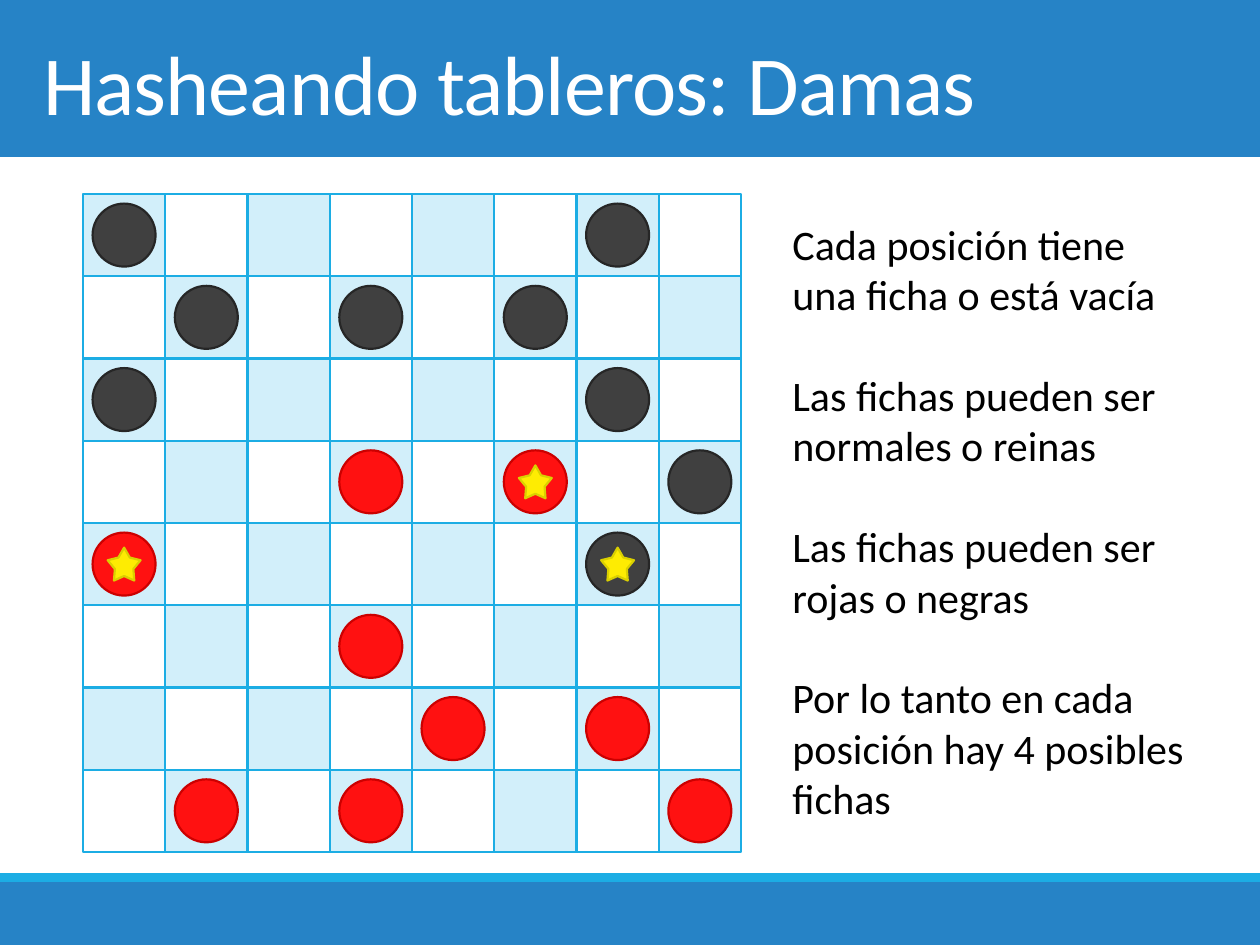
from pptx import Presentation
from pptx import util as u
from pptx.dml.color import RGBColor
from pptx.enum import shapes, text

SCALE = 914400 / 126  # EMU per px
FONT = "Calibri"

BLUE = RGBColor(0x26, 0x83, 0xC6)
CYAN = RGBColor(0x1C, 0xAD, 0xE4)
PALE = RGBColor(0xD2, 0xEF, 0xFA)
WHITE = RGBColor(0xFF, 0xFF, 0xFF)
BLACK = RGBColor(0x00, 0x00, 0x00)
RED = RGBColor(0xFF, 0x11, 0x11)
RED_EDGE = RGBColor(0xCC, 0x00, 0x00)
DARK = RGBColor(0x40, 0x40, 0x40)
DARK_EDGE = RGBColor(0x26, 0x26, 0x26)
YELLOW = RGBColor(0xFE, 0xEC, 0x02)
YELLOW_EDGE = RGBColor(0xDA, 0xD0, 0x00)

# Board geometry in px
BOARD_LEFT, BOARD_TOP, BOARD_SIZE = 83, 194, 658
CELLS = 8
CELL = BOARD_SIZE / CELLS
PIECE, STAR = 63, 33

# r / n: red / black man, R / N: red / black queen
POSITION = [
    "n.....n.",
    ".n.n.n..",
    "n.....n.",
    "...r.R.n",
    "R.....N.",
    "...r....",
    "....r.r.",
    ".r.r...r",
]
PIECE_COLOURS = {"r": (RED, RED_EDGE), "n": (DARK, DARK_EDGE)}

NOTES = [
    "Cada posición tiene una ficha o está vacía",
    "Las fichas pueden ser normales o reinas",
    "Las fichas pueden ser rojas o negras",
    "Por lo tanto en cada posición hay 4 posibles fichas",
]


def px(length):
    return u.Emu(round(length * SCALE))


def add_figure(parent, kind, left, top, width, height, fill, edge=None):
    figure = parent.shapes.add_shape(kind, px(left), px(top), px(width), px(height))
    figure.shadow.inherit = False
    figure.fill.solid()
    figure.fill.fore_color.rgb = fill
    if edge is None:
        figure.line.fill.background()
    else:
        figure.line.color.rgb = edge
        figure.line.width = u.Pt(1.25)
    return figure


def add_span(para, wording, size, colour):
    span = para.add_run()
    span.text = wording
    span.font.name = FONT
    span.font.size = u.Pt(size)
    span.font.color.rgb = colour
    return span


def add_bands(page):
    for top, height, colour in [(0, 157, BLUE), (882, 63, BLUE), (873, 9, CYAN)]:
        add_figure(page, shapes.MSO_SHAPE.RECTANGLE, 0, top, 1260, height, colour)


def format_title(page, wording):
    title = page.shapes.title
    title.left, title.top, title.width, title.height = px(35), px(0), px(1191), px(157)
    frame = title.text_frame
    frame.word_wrap = True
    frame.vertical_anchor = text.MSO_ANCHOR.MIDDLE
    frame.margin_left, frame.margin_top, frame.margin_bottom = px(8), px(12), px(6)
    para = frame.paragraphs[0]
    para.alignment = text.PP_ALIGN.LEFT
    span = add_span(para, wording, 48, WHITE)
    span.font._element.set("spc", "-50")
    # Bring the title in front of the header band
    page.shapes._spTree.append(title._element)


def add_notes(page):
    box = page.shapes.add_textbox(px(780), px(212), px(418), px(624))
    frame = box.text_frame
    frame.word_wrap = True
    frame.auto_size = text.MSO_AUTO_SIZE.SHAPE_TO_FIT_TEXT
    for index, wording in enumerate(NOTES):
        para = frame.add_paragraph() if index else frame.paragraphs[0]
        if index:
            para.space_before = u.Pt(28.8)  # one line
        add_span(para, wording, 24, BLACK)


def add_centred(board, kind, row, col, size, fill, edge):
    left = BOARD_LEFT + col * CELL + (CELL - size) / 2
    top = BOARD_TOP + row * CELL + (CELL - size) / 2
    return add_figure(board, kind, left, top, size, size, fill, edge)


def add_piece(board, row, col, mark):
    fill, edge = PIECE_COLOURS[mark.lower()]
    add_centred(board, shapes.MSO_SHAPE.OVAL, row, col, PIECE, fill, edge)
    if mark.isupper():
        star = add_centred(board, shapes.MSO_SHAPE.STAR_5_POINT, row, col, STAR,
                           YELLOW, YELLOW_EDGE)
        star.adjustments[0] = 0.28


def add_board(page):
    board = page.shapes.add_group_shape()
    # Squares
    for row in range(CELLS):
        for col in range(CELLS):
            fill = WHITE if (row + col) % 2 else PALE
            add_centred(board, shapes.MSO_SHAPE.RECTANGLE, row, col, CELL, fill, CYAN)
    # Pieces
    for row, marks in enumerate(POSITION):
        for col, mark in enumerate(marks):
            if mark != ".":
                add_piece(board, row, col, mark)


def main():
    deck = Presentation()
    deck.slide_width, deck.slide_height = px(1260), px(945)
    page = deck.slides.add_slide(deck.slide_layouts[5])
    add_bands(page)
    format_title(page, "Hasheando tableros: Damas")
    add_notes(page)
    add_board(page)
    deck.save("out.pptx")


if __name__ == "__main__":
    main()
